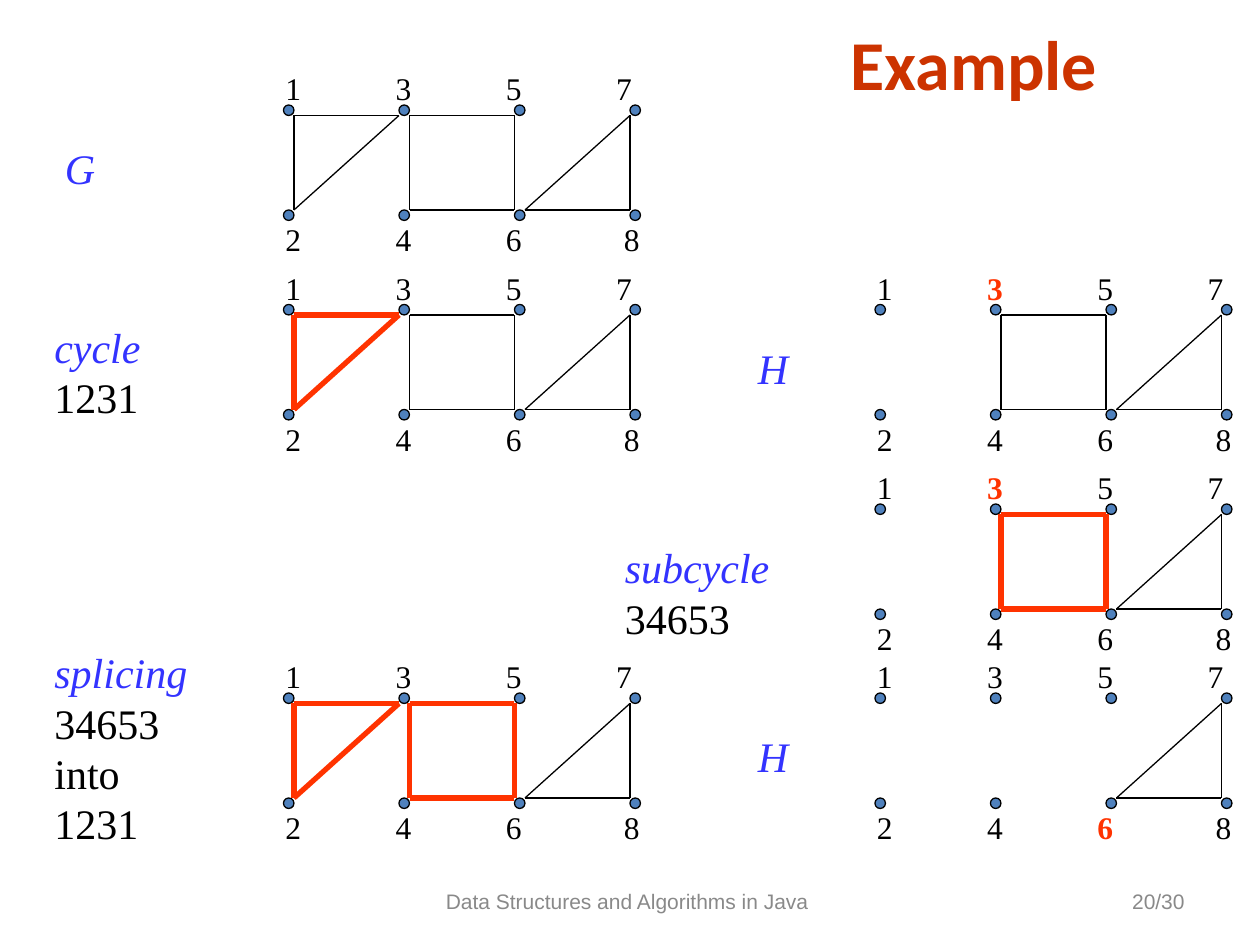
"""Build the slide that traces an Eulerian trail search on a graph."""
from lxml import etree
from pptx import Presentation
from pptx.dml.color import RGBColor
from pptx.enum import shapes, text
from pptx.oxml import ns
from pptx.util import Pt

BLACK = RGBColor(0x00, 0x00, 0x00)
RED = RGBColor(0xFF, 0x33, 0x00)
BLUE = RGBColor(0x33, 0x33, 0xFF)
RUST = RGBColor(0xCC, 0x33, 0x00)
GREY = RGBColor(0x89, 0x89, 0x89)
DOT = RGBColor(0x4F, 0x81, 0xBD)
SERIF = "Times New Roman"

deck = Presentation()
deck.slide_width, deck.slide_height = Pt(720), Pt(540)
slide = deck.slides.add_slide(deck.slide_layouts[6])


def add_frame(left, top, width, height, wrap=True, anchor=text.MSO_ANCHOR.TOP):
    frame = slide.shapes.add_textbox(Pt(left), Pt(top), Pt(width), Pt(height)).text_frame
    frame.word_wrap = wrap
    frame.vertical_anchor = anchor
    return frame


def add_run(paragraph, words, size, color, font=SERIF, bold=False, italic=False):
    run = paragraph.add_run()
    run.text = words
    run.font.name, run.font.size = font, Pt(size)
    run.font.bold, run.font.italic = bold, italic
    run.font.color.rgb = color


headings = [
    (226.5, 500.4, 264, 28.8, "Data Structures and Algorithms in Java", 12, GREY, "Arial", False, text.PP_ALIGN.CENTER),
    (516, 500.4, 168, 28.8, "20/30", 12, GREY, "Arial", False, text.PP_ALIGN.RIGHT),
    (438, 12, 237, 48, "Example", 40, RUST, "Calibri", True, text.PP_ALIGN.CENTER),
]
for left, top, width, height, words, size, color, font, bold, align in headings:
    line = add_frame(left, top, width, height, anchor=text.MSO_ANCHOR.MIDDLE).paragraphs[0]
    line.alignment = align
    add_run(line, words, size, color, font, bold)

DIAMETER, PITCH, DROP = 6, 66, 60
EDGES = {
    "12": (6, 6, 6, 60),
    "13": (6, 6, 66, 6),
    "23": (66, 6, 6, 60),
    "34": (72, 6, 72, 60),
    "35": (72, 6, 132, 6),
    "46": (72, 60, 132, 60),
    "56": (132, 6, 132, 60),
    "67": (198, 6, 138, 60),
    "68": (138, 60, 198, 60),
    "78": (198, 6, 198, 60),
}
CYCLE = ["12", "23", "13"]
SUBCYCLE = ["34", "46", "56", "35"]
TAIL = ["67", "68", "78"]
LABEL_ROWS = [("1357", (63, 126, 189)), ("2468", (63, 126, 193.5))]

graphs = [
    (162, 60, CYCLE + SUBCYCLE + TAIL, [], ""),
    (162, 174, CYCLE + SUBCYCLE + TAIL, CYCLE, ""),
    (500, 174, SUBCYCLE + TAIL, [], "3"),
    (500, 288, SUBCYCLE + TAIL, SUBCYCLE, "3"),
    (162, 396, CYCLE + TAIL, CYCLE + SUBCYCLE, ""),
    (500, 396, TAIL, [], "6"),
]
for left, top, plain_edges, marked_edges, start in graphs:
    for column in range(4):
        for row in range(2):
            vertex = slide.shapes.add_shape(
                shapes.MSO_SHAPE.OVAL, Pt(left + column * PITCH), Pt(top + row * DROP),
                Pt(DIAMETER), Pt(DIAMETER))
            vertex.shadow.inherit = False
            vertex.fill.solid()
            vertex.fill.fore_color.rgb = DOT
            vertex.line.color.rgb = BLACK
            vertex.line.width = Pt(0.75)

    for names, color, weight in ((plain_edges, BLACK, 0.75), (marked_edges, RED, 3)):
        for name in names:
            x1, y1, x2, y2 = EDGES[name]
            edge = slide.shapes.add_connector(
                shapes.MSO_CONNECTOR.STRAIGHT, Pt(left + x1), Pt(top + y1),
                Pt(left + x2), Pt(top + y2))
            edge.line.color.rgb = color
            edge.line.width = Pt(weight)
            etree.SubElement(edge._element.spPr, ns.qn("a:effectLst"))

    labels = add_frame(left - 6, top - 24, 226, 115.2, wrap=False)
    for row, (digits, stops) in enumerate(LABEL_ROWS):
        line = labels.add_paragraph() if row else labels.paragraphs[0]
        line.line_spacing = Pt(21.6)
        if row:
            line.space_before = Pt(64.8)
        tabs = etree.SubElement(line._p.get_or_add_pPr(), ns.qn("a:tabLst"))
        for stop in stops:
            etree.SubElement(tabs, ns.qn("a:tab"), pos=str(Pt(stop)), algn="l")
        for column, digit in enumerate(digits):
            if column:
                add_run(line, "\t", 18, BLACK)
            add_run(line, digit, 18, RED if digit == start else BLACK, bold=digit == start)

captions = [
    (30, 78, 32, 36, False, "G", []),
    (24, 180, 72, 64.8, False, "cycle", ["1231"]),
    (426, 192, 32, 36, False, "H", []),
    (350, 306, 102, 64.8, False, "subcycle", ["34653"]),
    (24, 366, 114, 122.4, True, "splicing", ["34653 into", "1231"]),
    (426, 414, 32, 36, False, "H", []),
]
for left, top, width, height, wrap, term, trail in captions:
    caption = add_frame(left, top, width, height, wrap)
    for index, words in enumerate([term] + trail):
        line = caption.add_paragraph() if index else caption.paragraphs[0]
        line.line_spacing = Pt(28.8)
        add_run(line, words, 24, BLACK if index else BLUE, italic=index == 0)

deck.save("out.pptx")
